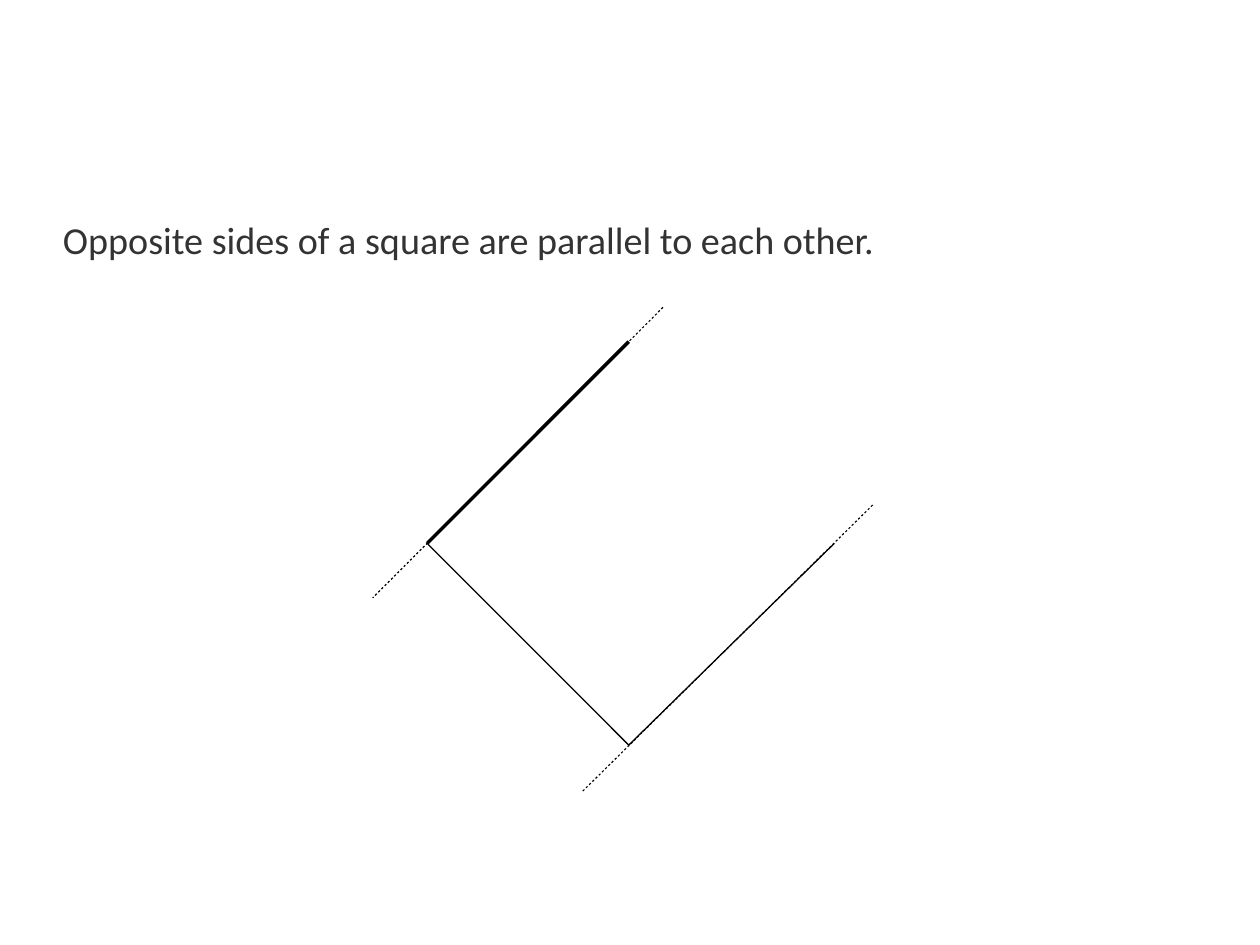
from collections import namedtuple
from dataclasses import dataclass

from lxml.etree import SubElement
from pptx import Presentation
from pptx.dml.color import RGBColor
from pptx.enum.shapes import MSO_CONNECTOR
from pptx.oxml.ns import qn
from pptx.util import Cm, Pt

Box = namedtuple("Box", "left top width height")


@dataclass(frozen=True)
class Theme:
    font: str = "Calibri"
    text_size: float = 24
    text_color: RGBColor = RGBColor(0x33, 0x33, 0x33)
    line_color: RGBColor = RGBColor(0, 0, 0)
    side_width: float = 0.79
    bold_width: float = 2.15
    guide_width: float = 0.71


THEME = Theme()

# Corners and guide ends, in half diagonals from the centre of the square
LEFT, TOP, RIGHT, BOTTOM = (-1, 0), (0, -1), (1.02, 0), (0, 1)
UPPER_GUIDE = (0.17, -1.17), (-1.27, 0.27)
LOWER_GUIDE = (1.21, -0.19), (-0.23, 1.23)


def percent_box(presentation, left, top, width, height):
    """Turn percentages of the slide's size into a box."""
    across, down = presentation.slide_width / 100, presentation.slide_height / 100
    return Box(int(left * across), int(top * down),
               int(width * across), int(height * down))


def add_statement(slide, box, text):
    text_frame = slide.shapes.add_textbox(*box).text_frame
    text_frame.word_wrap = True
    text_frame.margin_left = text_frame.margin_right = 0
    text_frame.margin_top = text_frame.margin_bottom = 0
    text_frame.text = text
    paragraph = text_frame.paragraphs[0]
    paragraph.line_spacing = 0.9
    paragraph.space_after = Pt(14.1)
    font = paragraph.runs[0].font
    font.name = THEME.font
    font.size = Pt(THEME.text_size)
    font.color.rgb = THEME.text_color


def add_square(slide, box):
    def place(point):
        x, y = point
        return (int(box.left + box.width * (1 + x) / 2),
                int(box.top + box.height * (1 + y) / 2))

    def add_line(start, end, width, dashed=False):
        connector = slide.shapes.add_connector(
            MSO_CONNECTOR.STRAIGHT, *place(start), *place(end))
        connector.line.color.rgb = THEME.line_color
        connector.line.width = Pt(width)
        if dashed:
            # Dashes and gaps of twice the line width
            dashes = SubElement(connector.line._get_or_add_ln(), qn("a:custDash"))
            SubElement(dashes, qn("a:ds"), d="200000", sp="200000")
        SubElement(connector._element.spPr, qn("a:effectLst"))

    # Sides of the square, one of them emphasised
    add_line(BOTTOM, LEFT, THEME.side_width)
    add_line(RIGHT, BOTTOM, THEME.side_width)
    add_line(TOP, LEFT, THEME.bold_width)

    # Dashed extensions of the parallel sides
    for start, end in (UPPER_GUIDE, LOWER_GUIDE):
        add_line(start, end, THEME.guide_width, dashed=True)


def main():
    presentation = Presentation()
    presentation.slide_width = Cm(28)
    presentation.slide_height = Cm(21)
    slide = presentation.slides.add_slide(presentation.slide_layouts[6])
    add_square(slide, percent_box(presentation, 33.9, 36.15, 32, 42.7))
    add_statement(slide, percent_box(presentation, 5, 23.4, 90, 66),
                  "Opposite sides of a square are parallel to each other.")
    presentation.save("out.pptx")


if __name__ == "__main__":
    main()
